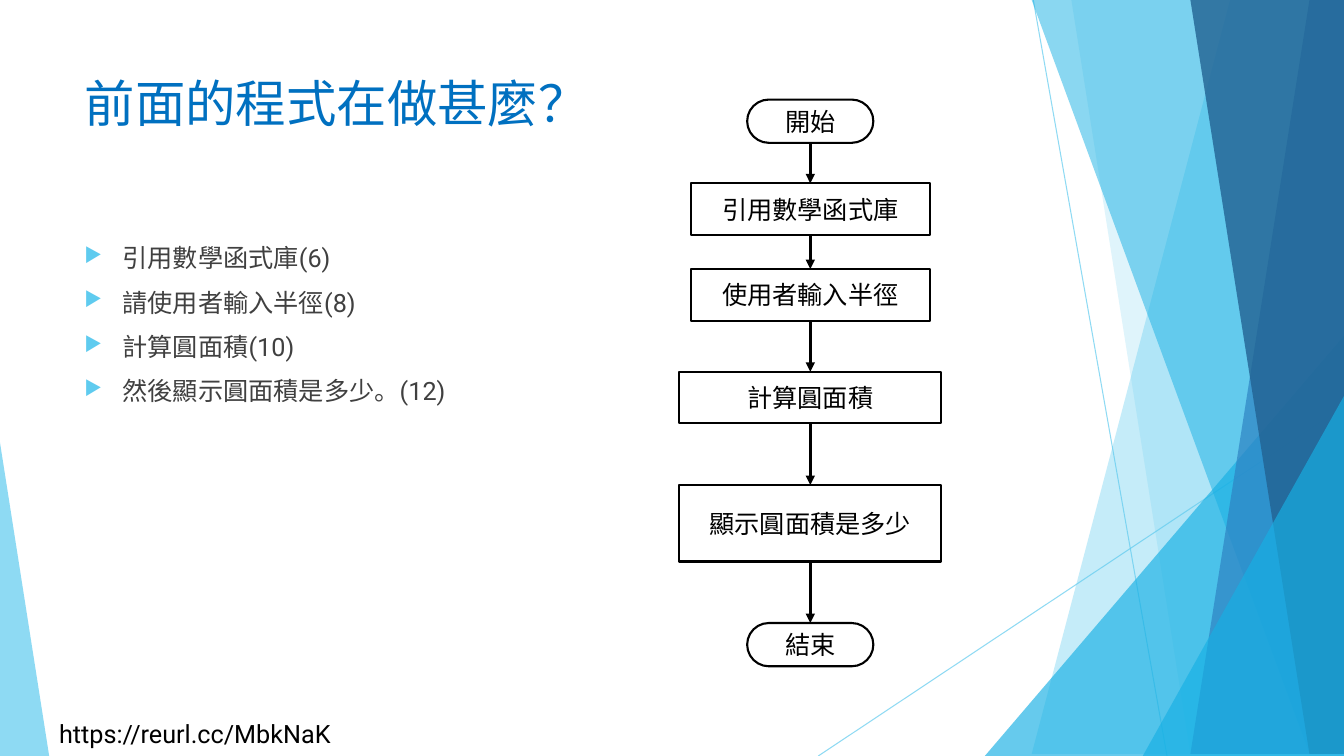
import pptx
import pptx.util
import pptx.dml.color
import pptx.enum.shapes
import pptx.enum.text
import pptx.oxml
import pptx.oxml.ns
from dataclasses import dataclass

Cm = pptx.util.Cm
Pt = pptx.util.Pt
qn = pptx.oxml.ns.qn
Kind = pptx.enum.shapes.MSO_SHAPE
Align = pptx.enum.text.PP_ALIGN
Anchor = pptx.enum.text.MSO_ANCHOR

# Content
TITLE = "前面的程式在做甚麼？"
LINK = "https://reurl.cc/MbkNaK"
STEPS = ["引用數學函式庫(6)", "請使用者輸入半徑(8)", "計算圓面積(10)", "然後顯示圓面積是多少。(12)"]
PILL, BOX = Kind.ROUNDED_RECTANGLE, Kind.RECTANGLE
# Flow chart: text, shape, width, top, height (cm)
FLOW = [
    ("開始", PILL, 3.18, 2.51, 1.09),
    ("引用數學函式庫", BOX, 6.02, 4.62, 1.3),
    ("使用者輸入半徑", BOX, 6.02, 6.78, 1.3),
    ("計算圓面積", BOX, 6.6, 9.37, 1.3),
    ("顯示圓面積是多少", BOX, 6.6, 12.22, 1.93),
    ("結束", PILL, 3.18, 15.7, 1.09),
]


@dataclass
class Theme:
    font: str = "Roboto"
    head: str = "0070C0"
    body: str = "404040"
    ink: str = "000000"
    paper: str = "FFFFFF"
    sky: str = "5FCBEF"
    aqua: str = "17B0E4"
    blue: str = "2E83C3"
    navy: str = "226292"
    big: int = 36
    small: int = 18


look = Theme()
WIDE, HIGH = 33.87, 19.05
AXIS = 20.42  # centre line of the flow chart

# Backdrop: bands (top x, foot x) and wedges (left, top), all reaching the right edge
SHARDS = [
    ("band", 31.19, 25.5, look.sky, 36),
    ("band", 26.67, 30.05, look.sky, 20),
    ("wedge", 24.82, 8.46, look.aqua, 66),
    ("band", 25.93, 32.79, look.aqua, 50),
    ("band", 33.1, 30.28, look.blue, 70),
    ("band", 30.38, 33.48, look.navy, 80),
    ("wedge", 28.8, 9.98, look.aqua, 66),
]
RAYS = [(26.04, 0, 29.41, HIGH), (WIDE, 10.24, 20.62, HIGH)]


def color(code):
    return pptx.dml.color.RGBColor.from_string(code)


def add_node(parent, tag, **attrs):
    node = pptx.oxml.parse_xml(f'<{tag} {pptx.oxml.ns.nsdecls("a")}/>')
    for key, value in attrs.items():
        node.set(key, str(value))
    parent.append(node)
    return node


def fade(part, alpha):
    tint = next(part.iter(qn("a:srgbClr")))
    add_node(tint, "a:alpha", val=alpha * 1000)


def paint(shape, code, alpha=100):
    shape.shadow.inherit = False
    shape.fill.solid()
    shape.fill.fore_color.rgb = color(code)
    shape.line.fill.background()
    if alpha < 100:
        fade(shape.element.spPr, alpha)


def style(para, size, code):
    for run in para.runs:
        run.font.name = look.font
        run.font.size = Pt(size)
        run.font.color.rgb = color(code)


def add_line(shapes, ends, code, width):
    line = shapes.add_connector(
        pptx.enum.shapes.MSO_CONNECTOR.STRAIGHT, *[Cm(n) for n in ends])
    line.line.color.rgb = color(code)
    line.line.width = Pt(width)
    add_node(line.element.spPr, "a:effectLst")
    return line


def add_wedge(shapes, left, top, width, tip, code, alpha):
    wedge = shapes.add_shape(
        Kind.ISOSCELES_TRIANGLE, Cm(left), Cm(top), Cm(width), Cm(HIGH - top))
    wedge.adjustments[0] = tip
    paint(wedge, code, alpha)


def draw_backdrop(shapes):
    for ends in RAYS:
        ray = add_line(shapes, ends, look.sky, 0.75)
        fade(ray.element.spPr, 70)
    for kind, first, second, code, alpha in SHARDS:
        if kind == "wedge":
            add_wedge(shapes, first, second, WIDE - first, 1, code, alpha)
        else:
            pen = shapes.build_freeform(first, 0, scale=Cm(1))
            pen.add_line_segments([(WIDE, 0), (WIDE, HIGH), (second, HIGH)])
            paint(pen.convert_to_shape(), code, alpha)
    add_wedge(shapes, 0, 11.15, 1.24, 0, look.sky, 70)


def write_text(slide):
    # Link in the corner
    link = slide.shapes.add_textbox(Cm(1.24), Cm(17.98), Cm(7.75), Cm(1.02))
    link.text_frame.word_wrap = False
    link.text_frame.text = LINK
    style(link.text_frame.paragraphs[0], look.small, look.ink)

    # Title
    title = slide.shapes.title
    title.left, title.top, title.width, title.height = Cm(1.88), Cm(1.7), Cm(23.88), Cm(3.66)
    title.text_frame.text = TITLE
    title.text_frame.vertical_anchor = Anchor.TOP
    head = title.text_frame.paragraphs[0]
    head.alignment = Align.LEFT
    style(head, look.big, look.head)

    # Bullet list
    frame = slide.shapes.add_textbox(Cm(1.88), Cm(5.99), Cm(23.88), Cm(10.77)).text_frame
    frame.word_wrap = True
    frame.text = "\n".join(STEPS)
    for rank, para in enumerate(frame.paragraphs):
        props = para._p.get_or_add_pPr()
        props.set("marL", str(Cm(0.96)))
        props.set("indent", str(-Cm(0.96)))
        add_node(add_node(props, "a:buClr"), "a:srgbClr", val=look.sky)
        add_node(props, "a:buSzPct", val=80000)
        add_node(props, "a:buChar", char="▶")
        para.space_before = Pt(10 if rank else 0)
        style(para, look.small, look.body)


def draw_flow(shapes):
    nodes = []
    for text, kind, width, top, height in FLOW:
        node = shapes.add_shape(
            kind, Cm(AXIS - width / 2), Cm(top), Cm(width), Cm(height))
        if kind == PILL:
            node.adjustments[0] = 0.5
        paint(node, look.paper)
        node.line.color.rgb = color(look.ink)
        node.line.width = Pt(1.5)
        node.text_frame.text = text
        node.text_frame.vertical_anchor = Anchor.MIDDLE
        para = node.text_frame.paragraphs[0]
        para.alignment = Align.CENTER
        style(para, look.small, look.ink)
        nodes.append(node)

    # Arrows between neighbours
    for upper, lower in zip(nodes, nodes[1:]):
        arrow = add_line(shapes, (AXIS, 0, AXIS, 1), look.ink, 2.25)
        arrow.begin_connect(upper, 2)
        arrow.end_connect(lower, 0)
        add_node(arrow.element.spPr.find(qn("a:ln")), "a:tailEnd", type="triangle")


def main():
    deck = pptx.Presentation()
    deck.slide_width, deck.slide_height = Cm(WIDE), Cm(HIGH)
    slide = deck.slides.add_slide(deck.slide_layouts[5])
    draw_backdrop(slide.shapes)
    write_text(slide)
    draw_flow(slide.shapes)
    deck.save("out.pptx")


if __name__ == "__main__":
    main()
